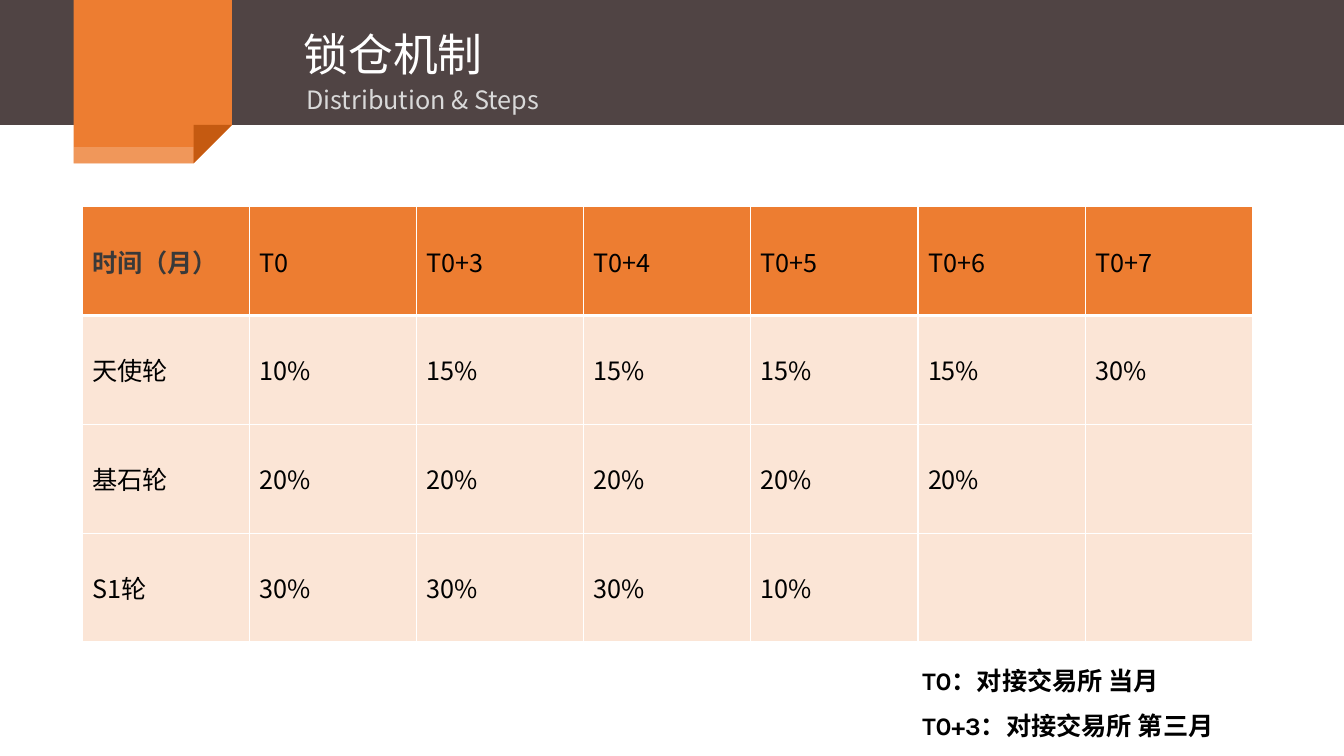
from dataclasses import dataclass

from lxml.etree import SubElement
from pptx import Presentation
from pptx.dml.color import RGBColor
from pptx.enum.shapes import MSO_SHAPE as Preset
from pptx.enum.text import MSO_ANCHOR as Anchor, MSO_AUTO_SIZE as AutoSize, PP_ALIGN as Align
from pptx.oxml import parse_xml
from pptx.oxml.ns import nsdecls, qn
from pptx.shapes.base import BaseShape
from pptx.slide import Slide
from pptx.table import Table, _Cell as Cell
from pptx.text.text import TextFrame, _Paragraph as Paragraph
from pptx.util import Inches, Pt

WHITE = RGBColor(0xFF, 0xFF, 0xFF)
BLACK = RGBColor(0x00, 0x00, 0x00)
CHARCOAL = RGBColor(0x39, 0x39, 0x39)
PALE_GREY = RGBColor(0xD9, 0xD9, 0xD9)
BROWN = RGBColor(0x50, 0x44, 0x44)
ORANGE = RGBColor(0xED, 0x7D, 0x31)
DARK_ORANGE = RGBColor(0xC5, 0x5A, 0x11)
PEACH = RGBColor(0xFB, 0xE5, 0xD6)

CJK_FONT = "Noto Sans CJK SC"
NOTE_FONT = "Karla"
WIDTH, HEIGHT = Inches(13.33), Inches(7.5)

# Percentages of the slide's width and height
RIBBON_LEFT, RIBBON_RIGHT, FOLD_X = 5.48, 17.25, 14.4
BAND_BOTTOM, RIBBON_BOTTOM, STRIP_TOP = 16.53, 21.6, 19.47

HEADER = ["时间（月）", "T0", "T0+3", "T0+4", "T0+5", "T0+6", "T0+7"]
ROUNDS = [
    ["天使轮", "10%", "15%", "15%", "15%", "15%", "30%"],
    ["基石轮", "20%", "20%", "20%", "20%", "20%", ""],
    ["S1轮", "30%", "30%", "30%", "10%", "", ""],
]
NOTES = ["T0：对接交易所 当月", "T0+3：对接交易所 第三月"]


@dataclass(frozen=True)
class Box:
    """A rectangle in percentages of the slide's size."""
    left: float
    top: float
    width: float
    height: float

    def emu(self) -> tuple[int, int, int, int]:
        return (across(self.left), down(self.top), across(self.width), down(self.height))


@dataclass(frozen=True)
class Style:
    size: float
    color: RGBColor
    bold: bool = False
    font: str = CJK_FONT


@dataclass(frozen=True)
class Block:
    box: Box
    preset: Preset
    color: RGBColor
    rotation: float = 0
    opacity: int = 100


FOLD_WIDTH = FOLD_HEIGHT = None
BAND = Block(Box(0, 0, 100, BAND_BOTTOM), Preset.RECTANGLE, BROWN)
RIBBON_DETAILS = [
    Block(Box(FOLD_X, BAND_BOTTOM, RIBBON_RIGHT - FOLD_X, RIBBON_BOTTOM - BAND_BOTTOM),
          Preset.RIGHT_TRIANGLE, DARK_ORANGE, rotation=90),
    Block(Box(RIBBON_LEFT, STRIP_TOP, FOLD_X - RIBBON_LEFT, RIBBON_BOTTOM - STRIP_TOP),
          Preset.RECTANGLE, WHITE, opacity=20),
]
TITLE_BOX = Box(21.83, 2.93, 15, 8.53)
SUBTITLE_BOX = Box(22.06, 10.53, 19.88, 5.33)
TABLE_BOX = Box(6.1, 27.33, 87.1, 57.6)
NOTES_BOX = Box(67.89, 85.33, 24.83, 13.07)


def across(percent: float) -> int:
    return round(WIDTH * percent / 100)


def down(percent: float) -> int:
    return round(HEIGHT * percent / 100)


def paint(shape: BaseShape, color: RGBColor) -> None:
    shape.shadow.inherit = False
    shape.fill.solid()
    shape.fill.fore_color.rgb = color
    shape.line.fill.background()


def add_block(slide: Slide, block: Block) -> None:
    shape = slide.shapes.add_shape(block.preset, *block.box.emu())
    paint(shape, block.color)
    shape.rotation = block.rotation
    if block.opacity < 100:
        color = shape.element.spPr.find(qn("a:solidFill"))[0]
        SubElement(color, qn("a:alpha"), val=str(block.opacity * 1000))


def add_ribbon(slide: Slide) -> None:
    corners = [(RIBBON_LEFT, 0), (RIBBON_RIGHT, 0), (RIBBON_RIGHT, BAND_BOTTOM),
               (FOLD_X, RIBBON_BOTTOM), (RIBBON_LEFT, RIBBON_BOTTOM)]
    start, *others = [(across(x), down(y)) for x, y in corners]
    builder = slide.shapes.build_freeform(*start)
    builder.add_line_segments(others, close=True)
    paint(builder.convert_to_shape(), ORANGE)


def add_run(paragraph: Paragraph, text: str, style: Style) -> None:
    run = paragraph.add_run()
    run.text = text
    font = run.font
    font.size, font.bold, font.name = Pt(style.size), style.bold, style.font
    font.color.rgb = style.color
    SubElement(run.font._element, qn("a:ea"), typeface=CJK_FONT)


def write_lines(frame: TextFrame, lines: list[str], style: Style,
                wrap: bool = False, spacing: float = 1.0) -> None:
    frame.word_wrap = wrap
    frame.auto_size = AutoSize.SHAPE_TO_FIT_TEXT
    frame.vertical_anchor = Anchor.TOP
    for index, line in enumerate(lines):
        paragraph = frame.add_paragraph() if index else frame.paragraphs[0]
        paragraph.alignment = Align.LEFT
        paragraph.line_spacing = spacing
        add_run(paragraph, line, style)


def add_title(slide: Slide, text: str) -> None:
    """Fill the title placeholder and bring it in front of the band."""
    title = slide.shapes.title
    title.left, title.top, title.width, title.height = TITLE_BOX.emu()
    write_lines(title.text_frame, [text], Style(32, WHITE))
    title.element.getparent().append(title.element)


def set_borders(cell: Cell, top: float, bottom: float) -> None:
    properties = cell._tc.get_or_add_tcPr()
    widths = {"lnL": 1, "lnR": 1, "lnT": top, "lnB": bottom}
    for index, (side, width) in enumerate(widths.items()):
        properties.insert(index, parse_xml(
            f'<a:{side} {nsdecls("a")} w="{Pt(width)}"><a:solidFill>'
            f'<a:srgbClr val="{WHITE}"/></a:solidFill></a:{side}>'))


def fill_row(table: Table, row: int, texts: list[str]) -> None:
    is_header = row == 0
    for column, text in enumerate(texts):
        cell = table.cell(row, column)
        cell.vertical_anchor = Anchor.MIDDLE
        cell.fill.solid()
        cell.fill.fore_color.rgb = ORANGE if is_header else PEACH
        set_borders(cell, top=3 if row == 1 else 1, bottom=3 if is_header else 1)
        if text:
            is_corner = is_header and column == 0
            style = Style(18, CHARCOAL if is_corner else BLACK, bold=is_corner)
            add_run(cell.text_frame.paragraphs[0], text, style)


def add_schedule(slide: Slide) -> None:
    rows = [HEADER, *ROUNDS]
    table = slide.shapes.add_table(len(rows), len(HEADER), *TABLE_BOX.emu()).table
    table.horz_banding = False
    for row, texts in enumerate(rows):
        fill_row(table, row, texts)


def main() -> None:
    presentation = Presentation()
    presentation.slide_width, presentation.slide_height = WIDTH, HEIGHT
    slide = presentation.slides.add_slide(presentation.slide_layouts.get_by_name("Title Only"))
    add_block(slide, BAND)
    add_ribbon(slide)
    for detail in RIBBON_DETAILS:
        add_block(slide, detail)
    add_title(slide, "锁仓机制")
    subtitle = slide.shapes.add_textbox(*SUBTITLE_BOX.emu())
    write_lines(subtitle.text_frame, ["Distribution & Steps"], Style(18, PALE_GREY))
    add_schedule(slide)
    notes = slide.shapes.add_textbox(*NOTES_BOX.emu())
    write_lines(notes.text_frame, NOTES, Style(18, BLACK, bold=True, font=NOTE_FONT),
                wrap=True, spacing=1.5)
    presentation.save("out.pptx")


if __name__ == "__main__":
    main()
